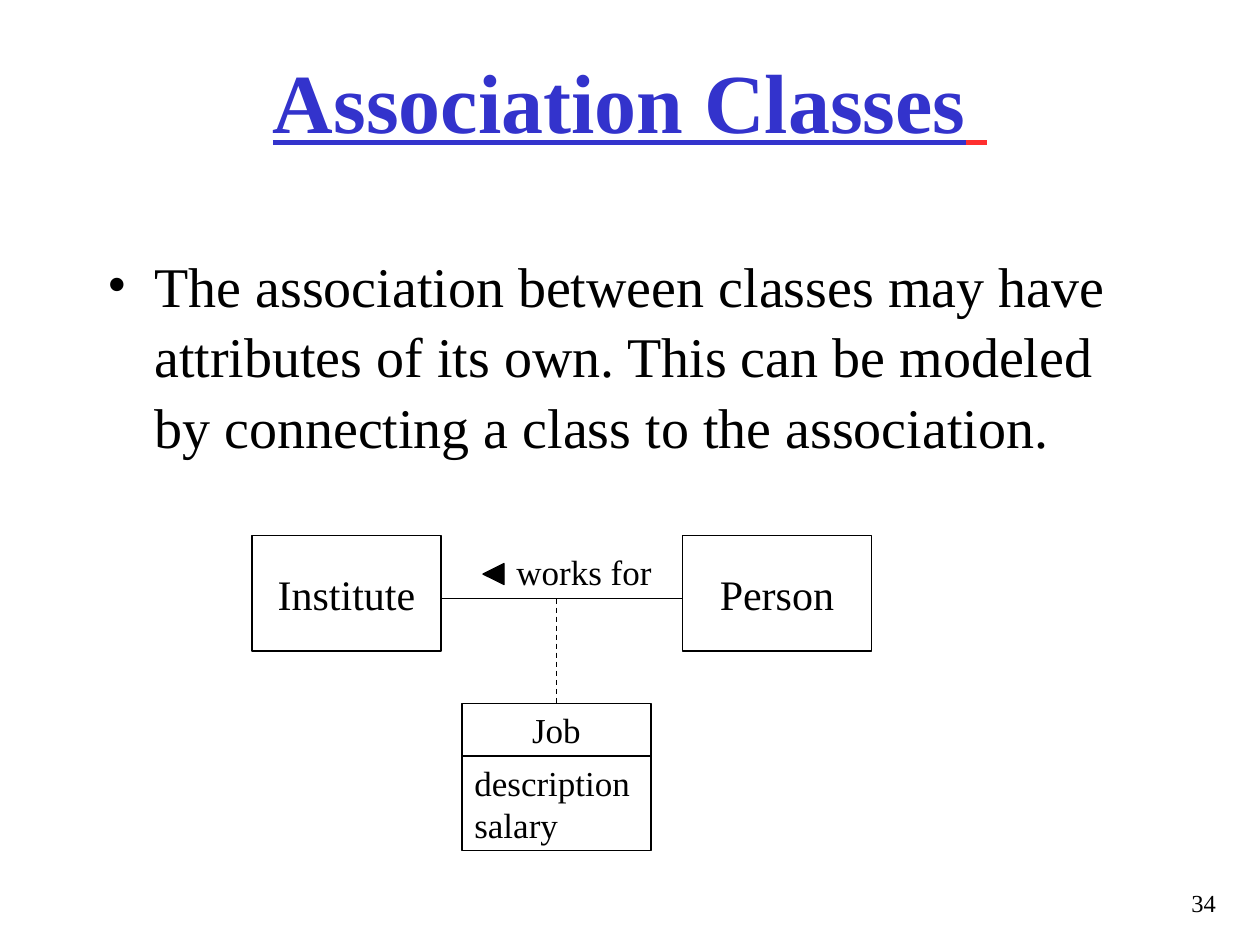
import pptx
import pptx.util
import pptx.dml.color
import pptx.enum.dml
import pptx.enum.shapes
import pptx.enum.text
import pptx.oxml
import pptx.oxml.ns

Pt = pptx.util.Pt
ALIGN = pptx.enum.text.PP_ALIGN
ANCHOR = pptx.enum.text.MSO_ANCHOR
SHAPE = pptx.enum.shapes.MSO_SHAPE
FONT = "Times New Roman"
BLACK, WHITE, BLUE, RED = "000000", "FFFFFF", "3333CC", "FF2F2F"


def rgb(value):
    return pptx.dml.color.RGBColor.from_string(value)


def place(sp, x, y, w, h):
    sp.left, sp.top, sp.width, sp.height = Pt(x), Pt(y), Pt(w), Pt(h)


def add_run(p, text, size, color=BLACK, bold=False, underline=False):
    r = p.add_run()
    r.text = text
    r.font.name, r.font.size = FONT, Pt(size)
    r.font.bold, r.font.underline = bold, underline
    r.font.color.rgb = rgb(color)


def set_text(sp, text, size, align=ALIGN.LEFT, anchor=ANCHOR.TOP, wrap=False, **fmt):
    """Write one paragraph per line and return the last one."""
    tf = sp.text_frame
    tf.word_wrap, tf.vertical_anchor = wrap, anchor
    tf.auto_size = pptx.enum.text.MSO_AUTO_SIZE.NONE
    for i, line in enumerate(text.split("\n")):
        p = tf.add_paragraph() if i else tf.paragraphs[0]
        p.alignment = align
        add_run(p, line, size, **fmt)
    return p


def add_title(s, x, y, w, h):
    sp = s.shapes.title
    place(sp, x, y, w, h)
    p = set_text(sp, "Association Classes", 48, ALIGN.CENTER, ANCHOR.MIDDLE,
                 wrap=True, color=BLUE, bold=True, underline=True)
    add_run(p, " ", 48, color=RED, underline=True)


def add_body(s, text, x, y, w, h):
    sp = s.placeholders[1]
    place(sp, x, y, w, h)
    p = set_text(sp, text, 32, wrap=True)
    # Black bullet with a hanging indent
    pPr = p._p.get_or_add_pPr()
    pPr.set("marL", str(Pt(27)))
    pPr.set("indent", str(-Pt(27)))
    ns = pptx.oxml.ns.nsdecls("a")
    for xml in (f'<a:buClr {ns}><a:srgbClr val="{BLACK}"/></a:buClr>',
                f'<a:buFont {ns} typeface="{FONT}"/>',
                f'<a:buChar {ns} char="•"/>'):
        pPr.append(pptx.oxml.parse_xml(xml))
    p.space_before, p.space_after, p.line_spacing = Pt(0), Pt(10), 1.05


def add_outlined(s, kind, x, y, w, h, fill=WHITE):
    sp = s.shapes.add_shape(kind, Pt(x), Pt(y), Pt(w), Pt(h))
    sp.shadow.inherit = False
    sp.fill.solid()
    sp.fill.fore_color.rgb = rgb(fill)
    sp.line.color.rgb = rgb(BLACK)
    sp.line.width = Pt(0.75)
    return sp


def add_class_box(s, text, x, y, w, h, size, align=ALIGN.CENTER):
    sp = add_outlined(s, SHAPE.RECTANGLE, x, y, w, h)
    set_text(sp, text, size, align, ANCHOR.MIDDLE)
    return sp


def add_line(s, x1, y1, x2, y2):
    c = s.shapes.add_connector(pptx.enum.shapes.MSO_CONNECTOR.STRAIGHT,
                               Pt(x1), Pt(y1), Pt(x2), Pt(y2))
    c.line.color.rgb = rgb(BLACK)
    c.line.width = Pt(0.75)
    c._element.spPr.append(pptx.oxml.parse_xml(
        f'<a:effectLst {pptx.oxml.ns.nsdecls("a")}/>'))
    return c


def add_label(s, text, x, y, w, h, size, **fmt):
    sp = s.shapes.add_textbox(Pt(x), Pt(y), Pt(w), Pt(h))
    set_text(sp, text, size, **fmt)


def add_diagram(s, x, y, w):
    box_w, box_h = 108, 66
    line_y, mid = y + 36, x + 174
    job_x, job_y, job_h = mid - box_w / 2, y + 96, 30

    # Associated classes
    add_class_box(s, "Institute", x, y, box_w, box_h, 24)
    add_class_box(s, "Person", x + w - box_w, y, box_w, box_h, 24)

    # Association with its reading direction
    add_line(s, x + box_w, line_y, x + w - box_w, line_y)
    add_label(s, "works for", x + 144, y + 5, 91.5, 31.5, 20)
    arrow = add_outlined(s, SHAPE.ISOSCELES_TRIANGLE, x + 132, y + 16, 12, 12, BLACK)
    arrow.rotation = 270

    # Association class
    job = add_class_box(s, "Job", job_x, job_y, box_w, job_h, 20)
    add_class_box(s, "description\nsalary", job_x, job_y + job_h, box_w, 54, 20, ALIGN.LEFT)
    link = add_line(s, mid, line_y, mid, job_y)
    link.line.dash_style = pptx.enum.dml.MSO_LINE.DASH
    link.end_connect(job, 0)


def main():
    prs = pptx.Presentation()
    prs.slide_width, prs.slide_height = Pt(720), Pt(540)
    s = prs.slides.add_slide(prs.slide_layouts[1])
    add_title(s, 54, 12, 612, 90)
    add_body(s, "The association between classes may have attributes of its own. "
                "This can be modeled by connecting a class to the association.",
             54, 138, 612, 312)
    add_diagram(s, 144, 306, 354)
    # Page number
    add_label(s, "34", 336, 504, 366, 24, 14, align=ALIGN.RIGHT, wrap=True)
    prs.save("out.pptx")


if __name__ == "__main__":
    main()
